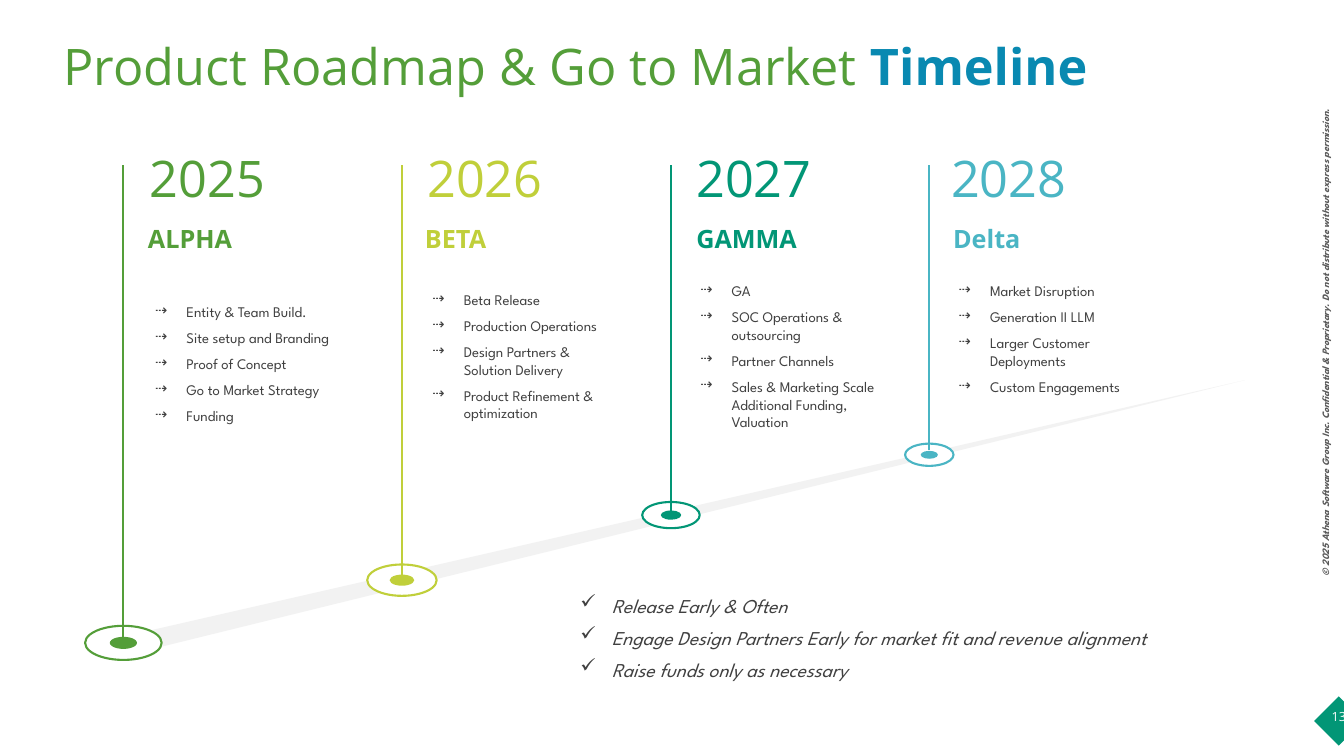
from dataclasses import dataclass

import pptx
import pptx.dml.color
import pptx.enum.shapes
import pptx.enum.text
import pptx.oxml.ns
import pptx.util
from lxml import etree

Cm = pptx.util.Cm
Pt = pptx.util.Pt
Shape = pptx.enum.shapes.MSO_SHAPE
Anchor = pptx.enum.text.MSO_ANCHOR
Align = pptx.enum.text.PP_ALIGN
qn = pptx.oxml.ns.qn

HEADING = "Open Sans"
BODY = "League Spartan"
GREEN = "549E39"
TEAL = "029676"
GREY = "404040"
STEM_TOP = 4.17
DOT_RATIO = 0.355
INDENT = 0.79


@dataclass(frozen=True)
class Box:
    left: float
    top: float
    width: float
    height: float

    def lengths(self):
        return Cm(self.left), Cm(self.top), Cm(self.width), Cm(self.height)


@dataclass(frozen=True)
class Milestone:
    year: str
    name: str
    color: str
    x: float
    y: float
    ring_width: float
    ring_height: float
    stem_end: float
    year_left: float
    name_left: float
    goals_box: Box
    goals: tuple[str, ...]


MILESTONES = (
    Milestone("2025", "ALPHA", GREEN, 3.11, 16.2, 1.93, 0.86, 16.18, 3.53, 3.48,
              Box(3.91, 7.39, 4.78, 3.56),
              ("Entity & Team Build.", "Site setup and Branding", "Proof of Concept",
               "Go to Market Strategy", "Funding")),
    Milestone("2026", "BETA", "C0CF3A", 10.13, 14.62, 1.75, 0.79, 14.5, 10.52, 10.46,
              Box(10.9, 7.09, 4.57, 3.78),
              ("Beta Release", "Production Operations",
               "Design Partners & Solution Delivery",
               "Product Refinement & optimization")),
    Milestone("2027", "GAMMA", TEAL, 16.91, 12.98, 1.45, 0.66, 12.9, 17.3, 17.3,
              Box(17.65, 7.09, 5.13, 3.78),
              ("GA", "SOC Operations & outsourcing", "Partner Channels",
               "Sales & Marketing Scale Additional Funding, Valuation")),
    Milestone("2028", "Delta", "4AB5C4", 23.42, 11.46, 1.22, 0.56, 11.35, 23.72, 23.77,
              Box(24.16, 7.09, 5.13, 2.9),
              ("Market Disruption", "Generation II LLM", "Larger Customer Deployments",
               "Custom Engagements")),
)
PRINCIPLES = (
    "Release Early & Often",
    "Engage Design Partners Early for market fit and revenue alignment",
    "Raise funds only as necessary",
)


def paint(color_holder, color: str) -> None:
    """Colour a fill or a line's fill."""
    color_holder.solid()
    color_holder.fore_color.rgb = pptx.dml.color.RGBColor.from_string(color)


def write(paragraph, text: str, *, font: str, size: float, color: str,
          bold: bool = False, italic: bool = False) -> None:
    run = paragraph.add_run()
    run.text = text
    run.font.name = font
    run.font.size = Pt(size)
    run.font.bold = bold
    run.font.italic = italic
    paint(run.font.fill, color)


def clear_margins(frame) -> None:
    frame.margin_left = frame.margin_top = frame.margin_right = frame.margin_bottom = 0


def add_text_box(slide, box: Box, anchor=Anchor.TOP):
    text_box = slide.shapes.add_textbox(*box.lengths())
    text_box.text_frame.word_wrap = True
    text_box.text_frame.vertical_anchor = anchor
    return text_box


def add_bullets(slide, box: Box, items: tuple[str, ...], mark: str, **text_format) -> None:
    frame = add_text_box(slide, box, Anchor.MIDDLE).text_frame
    clear_margins(frame)
    for index, item in enumerate(items):
        paragraph = frame.add_paragraph() if index else frame.paragraphs[0]
        properties = paragraph._p.get_or_add_pPr()
        properties.set("marL", str(Cm(INDENT)))
        properties.set("indent", str(-Cm(INDENT)))
        etree.SubElement(properties, qn("a:buChar")).set("char", mark)
        if index:
            paragraph.space_before = Pt(6)
        write(paragraph, item, font=BODY, color=GREY, **text_format)


def add_shape(slide, kind, box: Box, fill: str, line: str | None = None):
    shape = slide.shapes.add_shape(kind, *box.lengths())
    shape.shadow.inherit = False
    paint(shape.fill, fill)
    if line:
        paint(shape.line.fill, line)
        shape.line.width = Pt(1.5)
    else:
        shape.line.fill.background()
    return shape


def add_ellipse(slide, x: float, y: float, width: float, height: float,
                fill: str, line: str | None = None) -> None:
    """Draw an ellipse around its centre."""
    add_shape(slide, Shape.OVAL, Box(x - width / 2, y - height / 2, width, height), fill, line)


def add_road(slide) -> None:
    builder = slide.shapes.build_freeform(Cm(31.37), Cm(9.58))
    corners = ((3.73, 16.38), (3.68, 16.38), (3.07, 16.05))
    builder.add_line_segments([(Cm(x), Cm(y)) for x, y in corners], close=True)
    road = builder.convert_to_shape()
    road.shadow.inherit = False
    paint(road.fill, "F2F2F2")
    road.line.fill.background()


def add_milestone(slide, stop: Milestone) -> None:
    add_ellipse(slide, stop.x, stop.y, stop.ring_width, stop.ring_height, "FFFFFF", stop.color)
    add_ellipse(slide, stop.x, stop.y, stop.ring_width * DOT_RATIO,
                stop.ring_height * DOT_RATIO, stop.color)
    stem = slide.shapes.add_connector(
        pptx.enum.shapes.MSO_CONNECTOR.STRAIGHT,
        Cm(stop.x), Cm(STEM_TOP), Cm(stop.x), Cm(stop.stem_end))
    paint(stem.line.fill, stop.color)
    stem.line.width = Pt(1.5)
    etree.SubElement(stem._element.spPr, qn("a:effectLst"))

    year = add_text_box(slide, Box(stop.year_left, 3.58, 5.75, 1.8))
    write(year.text_frame.paragraphs[0], stop.year, font=HEADING, size=36, color=stop.color)
    name = add_text_box(slide, Box(stop.name_left, 5.49, 5.77, 1.02), Anchor.BOTTOM)
    write(name.text_frame.paragraphs[0], stop.name, font=HEADING, size=18,
          color=stop.color, bold=True)
    add_bullets(slide, stop.goals_box, stop.goals, "⇢", size=10.5)


def add_margin_marks(slide) -> None:
    """Add the copyright line and the page number at the right edge."""
    copyright_line = add_text_box(slide, Box(25.83, 8.15, 15.14, 0.97), Anchor.MIDDLE)
    copyright_line.rotation = 270
    paragraph = copyright_line.text_frame.paragraphs[0]
    paragraph.alignment = Align.CENTER
    write(paragraph, "© 2025 Athena Software Group Inc. Confidential & Proprietary. "
          "Do not distribute without express permission.",
          font=BODY, size=7, color="595959", bold=True, italic=True)

    page = add_shape(slide, Shape.DIAMOND, Box(33.12, 17.55, 1.24, 1.24), TEAL)
    clear_margins(page.text_frame)
    page.text_frame.vertical_anchor = Anchor.TOP
    number = page.text_frame.paragraphs[0]
    number.alignment = Align.CENTER
    write(number, "13", font=HEADING, size=9, color="FFFFFF")


def main() -> None:
    deck = pptx.Presentation()
    deck.slide_width, deck.slide_height = Cm(33.87), Cm(19.05)
    slide = deck.slides.add_slide(deck.slide_layouts[6])

    add_margin_marks(slide)
    title = add_text_box(slide, Box(1.35, 0.66, 29.13, 1.98), Anchor.MIDDLE)
    heading = title.text_frame.paragraphs[0]
    write(heading, "Product Roadmap & Go to Market ", font=HEADING, size=36, color=GREEN)
    write(heading, "Timeline", font=HEADING, size=36, color="0989B1", bold=True)
    add_road(slide)
    for stop in MILESTONES:
        add_milestone(slide, stop)
    add_bullets(slide, Box(14.63, 14.94, 17.55, 2.24), PRINCIPLES, "✓", size=14, italic=True)
    deck.save("out.pptx")


if __name__ == "__main__":
    main()
